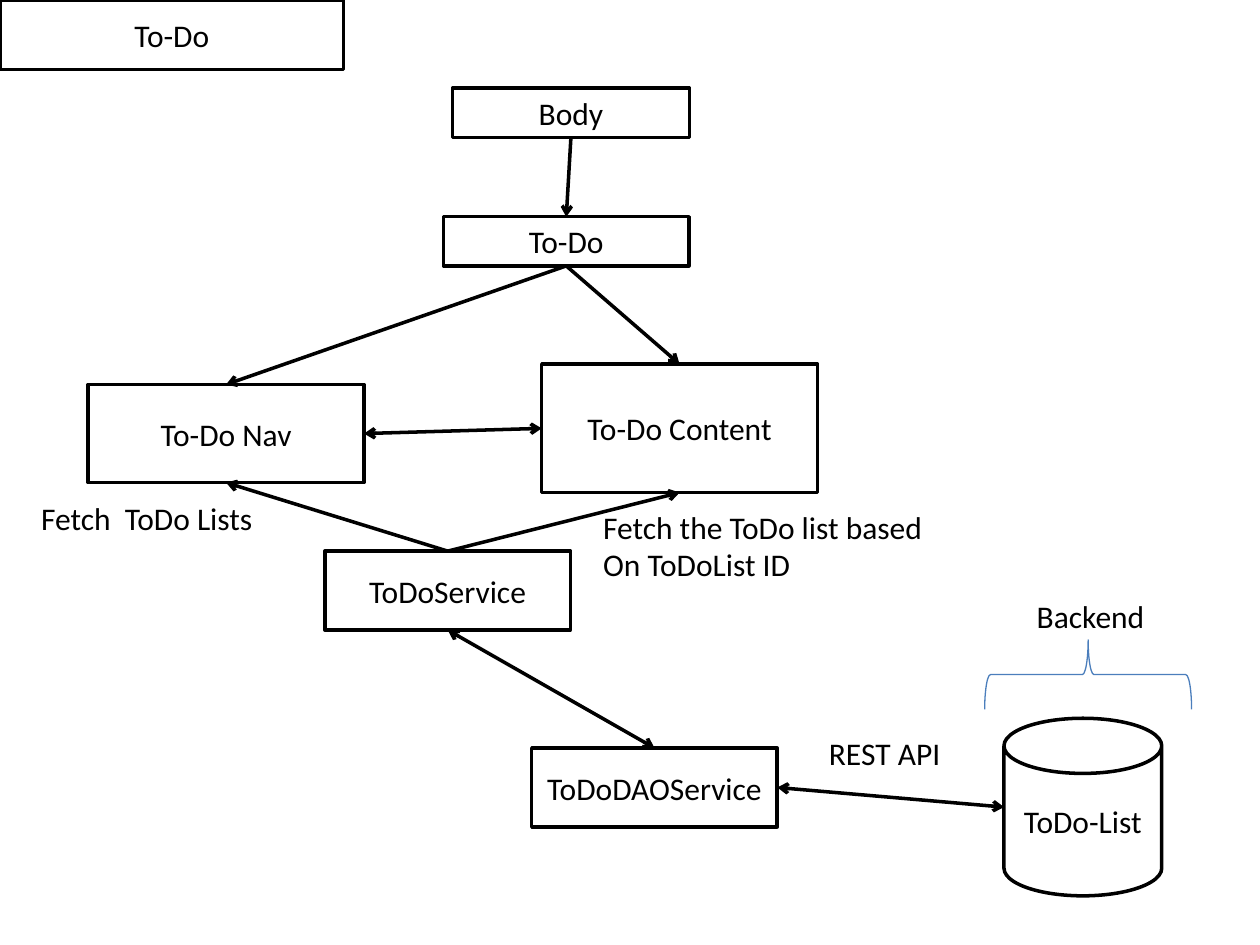
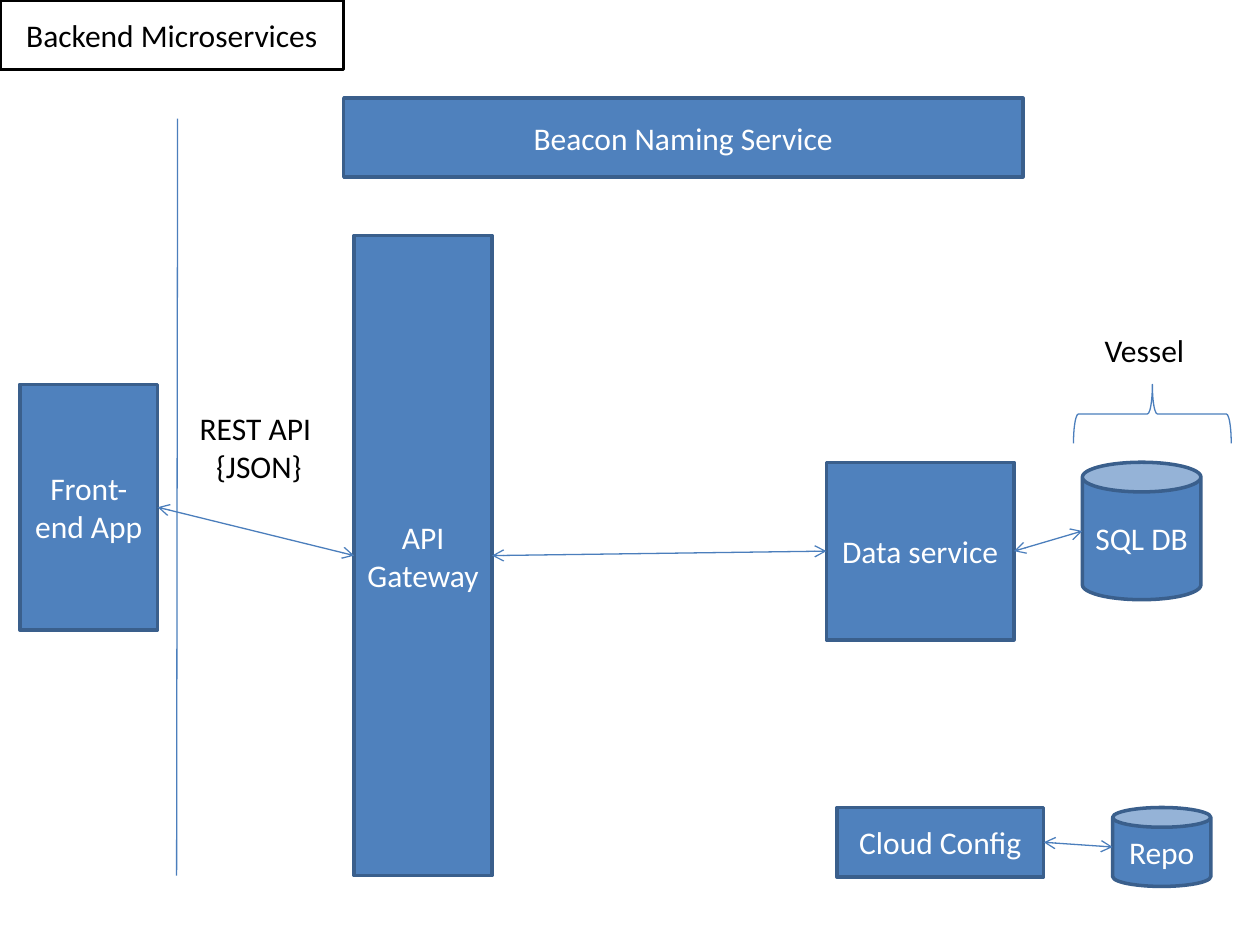
"""Two architecture diagrams for a to-do application."""
from dataclasses import dataclass

from lxml import etree
from pptx import Presentation
from pptx.dml.color import RGBColor
from pptx.enum.shapes import MSO_CONNECTOR, MSO_SHAPE
from pptx.enum.text import MSO_ANCHOR, MSO_AUTO_SIZE, PP_ALIGN
from pptx.oxml.ns import qn
from pptx.util import Cm, Pt

RECTANGLE, CAN, BRACE = MSO_SHAPE.RECTANGLE, MSO_SHAPE.CAN, MSO_SHAPE.LEFT_BRACE
STRAIGHT = MSO_CONNECTOR.STRAIGHT
MIDDLE = MSO_ANCHOR.MIDDLE
FIT_SHAPE, NO_FIT = MSO_AUTO_SIZE.SHAPE_TO_FIT_TEXT, MSO_AUTO_SIZE.NONE
LEFT_ALIGN, CENTER = PP_ALIGN.LEFT, PP_ALIGN.CENTER
TOP, LEFT, BOTTOM, RIGHT = range(4)

BLACK = RGBColor(0x00, 0x00, 0x00)
WHITE = RGBColor(0xFF, 0xFF, 0xFF)
BLUE = RGBColor(0x4F, 0x81, 0xBD)
DARK_BLUE = RGBColor(0x3A, 0x5F, 0x8C)
LINE_BLUE = RGBColor(0x4B, 0x7E, 0xBC)
FONT, TEXT_SIZE = "Calibri", Pt(18)
BOLD_LINE, THIN_LINE = Pt(2), Pt(0.75)


@dataclass
class Look:
    """Colours and line width of one family of shapes and links."""
    fill: RGBColor
    border: RGBColor
    text: RGBColor
    link: RGBColor
    link_width: int


OUTLINED = Look(WHITE, BLACK, BLACK, BLACK, BOLD_LINE)
FILLED = Look(BLUE, DARK_BLUE, WHITE, LINE_BLUE, THIN_LINE)


@dataclass
class Box:
    """A rectangle in centimetres."""
    left: float
    top: float
    width: float
    height: float

    def inner(self, left, top, width, height):
        """Return a box placed relative to this one."""
        return Box(self.left + left, self.top + top, width, height)

    def lengths(self):
        """Return the four measures as slide lengths."""
        return Cm(self.left), Cm(self.top), Cm(self.width), Cm(self.height)


PAGE = Box(0, 0, 25.4, 19.05)
TITLE = PAGE.inner(0, 0, 6.93, 1.4)


def write(frame, lines, color, align):
    """Write each line as one paragraph with a single run."""
    for number, line in enumerate(lines):
        para = frame.add_paragraph() if number else frame.paragraphs[0]
        para.alignment = align
        span = para.add_run()
        span.text = line
        span.font.name = FONT
        span.font.size = TEXT_SIZE
        span.font.color.rgb = color


def paint(shape, look):
    """Give a shape the fill and border of a look."""
    shape.fill.solid()
    shape.fill.fore_color.rgb = look.fill
    shape.line.color.rgb = look.border
    shape.line.width = BOLD_LINE


def add_titled_page(deck, title):
    """Add a page whose title sits in a rounded box in the corner."""
    page = deck.slides.add_slide(deck.slide_layouts[5])
    holder = page.shapes.title
    holder.left, holder.top, holder.width, holder.height = TITLE.lengths()
    outline = etree.Element(qn("a:prstGeom"), prst="roundRect")
    etree.SubElement(outline, qn("a:avLst"))
    holder.element.spPr.insert(1, outline)
    paint(holder, OUTLINED)
    frame = holder.text_frame
    frame.auto_size = NO_FIT
    frame.vertical_anchor = MIDDLE
    write(frame, [title], BLACK, CENTER)
    return page


def add_node(page, box, text, look, kind=RECTANGLE):
    """Add a labelled block or store."""
    node = page.shapes.add_shape(kind, *box.lengths())
    node.shadow.inherit = False
    paint(node, look)
    frame = node.text_frame
    frame.word_wrap = True
    frame.vertical_anchor = MIDDLE
    write(frame, [text], look.text, CENTER)
    return node


def add_caption(page, box, *lines, align=LEFT_ALIGN):
    """Add free text beside the diagram shapes."""
    frame = page.shapes.add_textbox(*box.lengths()).text_frame
    frame.word_wrap = False
    frame.auto_size = FIT_SHAPE
    write(frame, lines, BLACK, align)


def add_bracket(page, box):
    """Add a brace that opens downwards and fills the box."""
    upright = box.inner((box.width - box.height) / 2, (box.height - box.width) / 2,
                        box.height, box.width)
    brace = page.shapes.add_shape(BRACE, *upright.lengths())
    brace.rotation = 90
    brace.shadow.inherit = False
    brace.fill.background()
    brace.line.color.rgb = LINE_BLUE
    brace.line.width = THIN_LINE


def add_line(page, look, x1, y1, x2, y2):
    """Add a straight line without a shadow."""
    line = page.shapes.add_connector(STRAIGHT, x1, y1, x2, y2)
    line.line.color.rgb = look.link
    line.line.width = look.link_width
    etree.SubElement(line.element.spPr, qn("a:effectLst"))
    return line


def side_middle(node, side):
    """Return the middle of one side of a node."""
    across = {LEFT: 0, RIGHT: node.width}.get(side, node.width // 2)
    down = {TOP: 0, BOTTOM: node.height}.get(side, node.height // 2)
    return node.left + across, node.top + down


def add_link(page, look, start, start_side, end, end_side, both=True):
    """Join two nodes with an arrow at the end or at both ends."""
    link = add_line(page, look, *side_middle(start, start_side), *side_middle(end, end_side))
    if start.auto_shape_type == RECTANGLE:
        link.begin_connect(start, start_side)
    if end.auto_shape_type == RECTANGLE:
        link.end_connect(end, end_side)
    stroke = link.element.spPr.find(qn("a:ln"))
    for tag in ("a:headEnd", "a:tailEnd") if both else ("a:tailEnd",):
        etree.SubElement(stroke, qn(tag), type="arrow")


def draw_components(page, area):
    """Draw the component tree, its services and the store."""
    def node(text, *place, kind=RECTANGLE):
        """Add an outlined node inside the area."""
        return add_node(page, area.inner(*place), text, OUTLINED, kind)

    body = node("Body", 9.12, 1.78, 4.78, 0.99)
    todo = node("To-Do", 8.94, 4.37, 4.95, 0.99)
    nav = node("To-Do Nav", 1.78, 7.75, 5.56, 1.98)
    content = node("To-Do Content", 10.92, 7.34, 5.56, 2.59)
    service = node("ToDoService", 6.55, 11.11, 4.95, 1.59)
    dao = node("ToDoDAOService", 10.72, 15.08, 4.95, 1.59)
    store = node("ToDo-List", 20.24, 14.48, 3.18, 3.58, kind=CAN)
    store.adjustments[0] = 0.35

    add_link(page, OUTLINED, body, BOTTOM, todo, TOP, both=False)
    for panel in (nav, content):
        add_link(page, OUTLINED, todo, BOTTOM, panel, TOP, both=False)
        add_link(page, OUTLINED, service, TOP, panel, BOTTOM, both=False)
    add_link(page, OUTLINED, nav, RIGHT, content, LEFT)
    add_link(page, OUTLINED, service, BOTTOM, dao, TOP)
    add_link(page, OUTLINED, dao, RIGHT, store, LEFT)

    add_caption(page, area.inner(0.58, 9.93, 5.16, 1.02), "Fetch  ToDo Lists")
    add_caption(page, area.inner(11.91, 10.11, 7.01, 1.8),
                "Fetch the ToDo list based", "On ToDoList ID")
    add_caption(page, area.inner(16.46, 14.68, 2.77, 1.02), "REST API")
    add_bracket(page, area.inner(19.85, 12.9, 4.17, 1.4))
    add_caption(page, area.inner(20.65, 11.91, 2.72, 1.02), "Backend")


def draw_microservices(page, area):
    """Draw the front end, the gateway and the services behind it."""
    def node(text, *place, kind=RECTANGLE):
        """Add a filled node inside the area."""
        return add_node(page, area.inner(*place), text, FILLED, kind)

    divider = area.inner(3.58, 2.39, -0.02, 15.26)
    add_line(page, FILLED, Cm(divider.left), Cm(divider.top),
             Cm(divider.left + divider.width), Cm(divider.top + divider.height))

    node("Beacon Naming Service", 6.93, 1.98, 13.69, 1.59)
    front = node("Front-end App", 0.4, 7.75, 2.78, 4.95)
    gateway = node("API Gateway", 7.14, 4.75, 2.78, 12.9)
    data = node("Data service", 16.66, 9.32, 3.78, 3.58)
    database = node("SQL DB", 21.82, 9.32, 2.39, 2.77, kind=CAN)
    config = node("Cloud Config", 16.87, 16.28, 4.17, 1.4)
    repository = node("Repo", 22.43, 16.28, 1.98, 1.59, kind=CAN)

    for start, end in ((front, gateway), (gateway, data),
                       (data, database), (config, repository)):
        add_link(page, FILLED, start, RIGHT, end, LEFT)

    add_caption(page, area.inner(3.76, 8.13, 2.92, 1.8), "REST API ", "{JSON}", align=CENTER)
    add_bracket(page, area.inner(21.64, 7.75, 3.18, 1.19))
    add_caption(page, area.inner(22.02, 6.55, 2.34, 1.02), "Vessel")


def main():
    """Build and save the deck."""
    deck = Presentation()
    deck.slide_width, deck.slide_height = Cm(PAGE.width), Cm(PAGE.height)
    draw_components(add_titled_page(deck, "To-Do"), PAGE)
    draw_microservices(add_titled_page(deck, "Backend Microservices"), PAGE)
    deck.save("out.pptx")


if __name__ == "__main__":
    main()
